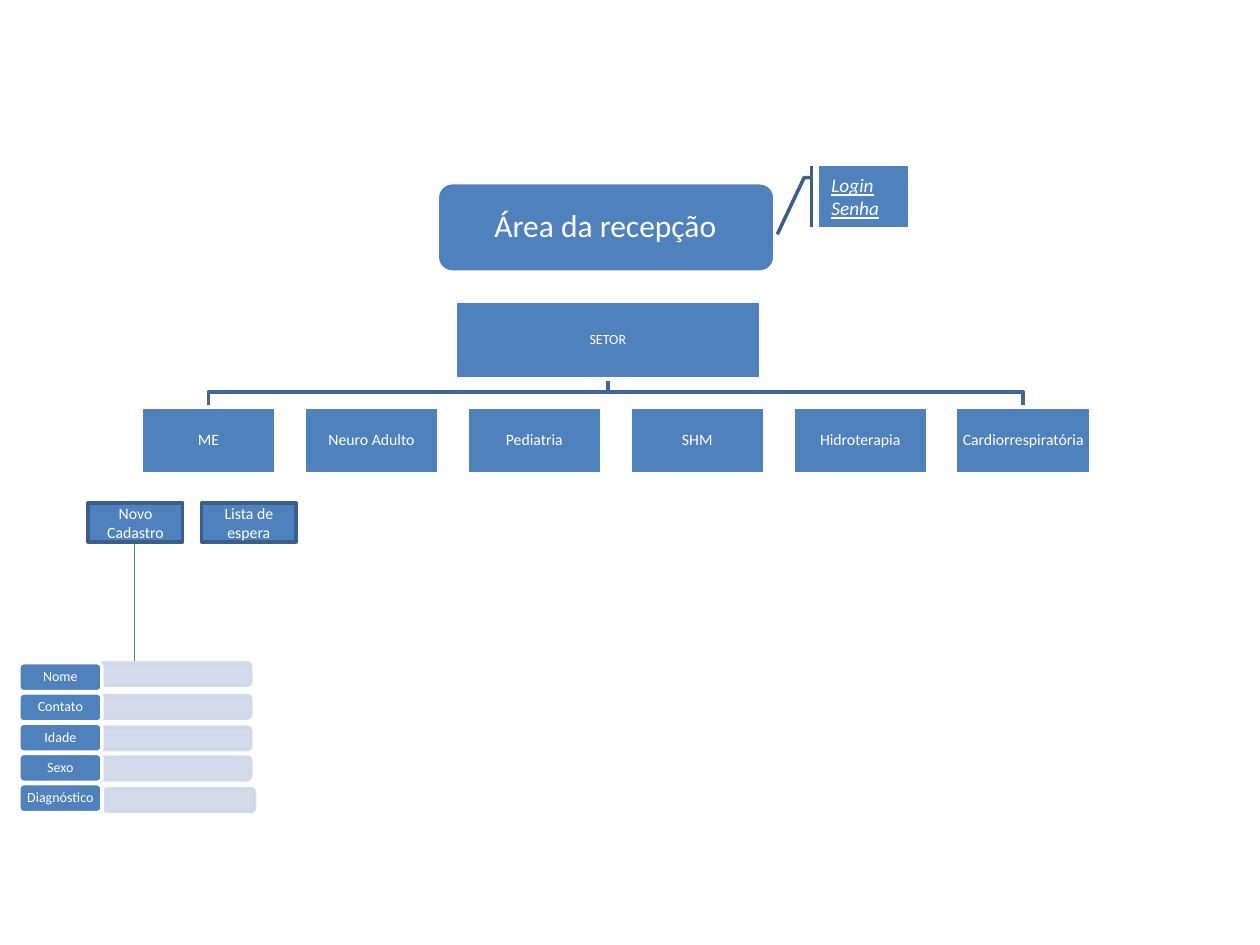
from dataclasses import dataclass

from lxml.etree import SubElement
from pptx import Presentation
from pptx.dml.color import RGBColor
from pptx.enum.shapes import MSO_CONNECTOR, MSO_SHAPE
from pptx.enum.text import MSO_ANCHOR, PP_ALIGN
from pptx.oxml.ns import qn
from pptx.util import Inches, Pt

COLORS = {
    "box": "4F81BD",
    "white": "FFFFFF",
    "dark": "3A5F8C",
    "branch": "3F6797",
    "link": "4B7EBC",
    "field": "D0D8E8",
}
FONT = "Calibri"


@dataclass
class Box:
    text: str
    left: float
    top: float
    width: float
    height: float
    size: float
    kind: MSO_SHAPE = MSO_SHAPE.RECTANGLE
    outline: str = "white"
    inset: float = 0.01
    spacing: float = 0.9


@dataclass
class Field:
    label: str
    bar_left: float
    bar_top: float


def rgb(name: str) -> RGBColor:
    return RGBColor.from_string(COLORS[name])


def paint(shape, fill: str, outline: str) -> None:
    shape.shadow.inherit = False
    shape.fill.solid()
    shape.fill.fore_color.rgb = rgb(fill)
    shape.line.color.rgb = rgb(outline)
    shape.line.width = Pt(2)


def write(shape, text: str, size: float, inset: float, spacing: float,
          align=PP_ALIGN.CENTER) -> None:
    frame = shape.text_frame
    frame.word_wrap = True
    frame.vertical_anchor = MSO_ANCHOR.MIDDLE
    frame.margin_left = frame.margin_right = Inches(inset)
    frame.margin_top = frame.margin_bottom = Inches(min(inset, 0.05))
    frame.text = text
    for paragraph in frame.paragraphs:
        paragraph.alignment = align
        paragraph.line_spacing = spacing
        paragraph.font.name = FONT
        paragraph.font.size = Pt(size)
        paragraph.font.color.rgb = rgb("white")


def add_box(slide, box: Box):
    shape = slide.shapes.add_shape(box.kind, Inches(box.left), Inches(box.top),
                                   Inches(box.width), Inches(box.height))
    paint(shape, "box", box.outline)
    if box.text:
        write(shape, box.text, box.size, box.inset, box.spacing)
    return shape


def set_alpha(color_format, percent: int) -> None:
    for color in color_format.iter(qn("a:srgbClr")):
        SubElement(color, qn("a:alpha")).set("val", str(percent * 1000))


def add_field(slide, field: Field, label_top: float) -> None:
    """Draw a form row: a label and the pale bar for its value."""
    width, length = 0.18, 1.18
    bar = slide.shapes.add_shape(MSO_SHAPE.ROUND_2_SAME_RECTANGLE,
                                 Inches(field.bar_left), Inches(field.bar_top),
                                 Inches(width), Inches(length))
    bar.rotation = 90
    paint(bar, "field", "field")
    set_alpha(bar._element.spPr, 90)
    add_box(slide, Box(field.label, 0.15, label_top, 0.66, 0.23, 8,
                       MSO_SHAPE.ROUNDED_RECTANGLE, inset=0.03))


def add_link(slide, x: float, top: float, bottom: float) -> None:
    link = slide.shapes.add_connector(MSO_CONNECTOR.STRAIGHT, Inches(x), Inches(top),
                                      Inches(x), Inches(bottom))
    link.line.color.rgb = rgb("link")
    link.line.width = Pt(0.75)
    SubElement(link._element.spPr, qn("a:effectLst"))


def add_branch(slide, start_x: float, end_x: float) -> None:
    """Draw an elbow from the parent box down to a child box."""
    top, middle, bottom = 3.0, 3.11, 3.23
    builder = slide.shapes.build_freeform(Inches(start_x), Inches(top))
    builder.add_line_segments(
        [(Inches(x), Inches(y))
         for x, y in ((start_x, middle), (end_x, middle), (end_x, bottom))],
        close=False)
    branch = builder.convert_to_shape()
    branch.shadow.inherit = False
    branch.fill.background()
    branch.line.color.rgb = rgb("branch")
    branch.line.width = Pt(2)


def add_reception(slide) -> None:
    add_box(slide, Box("", 3.47, 1.45, 2.68, 0.71, 18, MSO_SHAPE.ROUNDED_RECTANGLE))
    title = slide.shapes.title
    title.left, title.top = Inches(3.5), Inches(1.48)
    title.width, title.height = Inches(2.61), Inches(0.64)
    write(title, "Área da recepção", 18, 0.05, 0.9)
    slide.shapes._spTree.append(title._element)  # in front of its box


def add_access(slide) -> None:
    access = add_box(slide, Box("", 6.5, 1.32, 0.71, 0.48, 11,
                                MSO_SHAPE.LINE_CALLOUT_2_ACCENT_BAR, "dark"))
    write(access, "Login\nSenha", 11, 0.1, 1.0, PP_ALIGN.LEFT)
    for paragraph in access.text_frame.paragraphs:
        paragraph.font.italic = True
        paragraph.font.underline = True


def add_sectors(slide) -> None:
    sectors = ["ME", "Neuro Adulto", "Pediatria", "SHM", "Hidroterapia",
               "Cardiorrespiratória"]
    first_left, pitch, width = 1.12, 1.293, 1.07
    parent = Box("SETOR", 3.61, 2.39, 2.43, 0.62, 8)
    center = parent.left + parent.width / 2
    for index in (len(sectors) - 1, 0):
        add_branch(slide, center, first_left + index * pitch + width / 2)
    add_box(slide, parent)
    for index, sector in enumerate(sectors):
        add_box(slide, Box(sector, first_left + index * pitch, 3.23, width, 0.53, 9))


def main() -> None:
    deck = Presentation()
    deck.slide_width, deck.slide_height = Inches(10), Inches(7.5)
    slide = deck.slides.add_slide(deck.slide_layouts[5])

    add_link(slide, 1.07, 4.31, 5.26)
    fields = [
        Field("Nome", 1.31, 4.76),
        Field("Contato", 1.31, 5.02),
        Field("Idade", 1.31, 5.27),
        Field("Sexo", 1.31, 5.51),
        Field("Diagnóstico", 1.34, 5.76),
    ]
    for index, field in enumerate(fields):
        add_field(slide, field, 5.26 + index * 0.24)

    add_reception(slide)
    add_access(slide)
    add_sectors(slide)
    for index, action in enumerate(["Novo Cadastro", "Lista de espera"]):
        add_box(slide, Box(action, 0.7 + index * 0.9, 3.99, 0.75, 0.31, 9,
                           MSO_SHAPE.ACTION_BUTTON_CUSTOM, "dark", 0.1, 1.0))

    deck.save("out.pptx")


if __name__ == "__main__":
    main()
